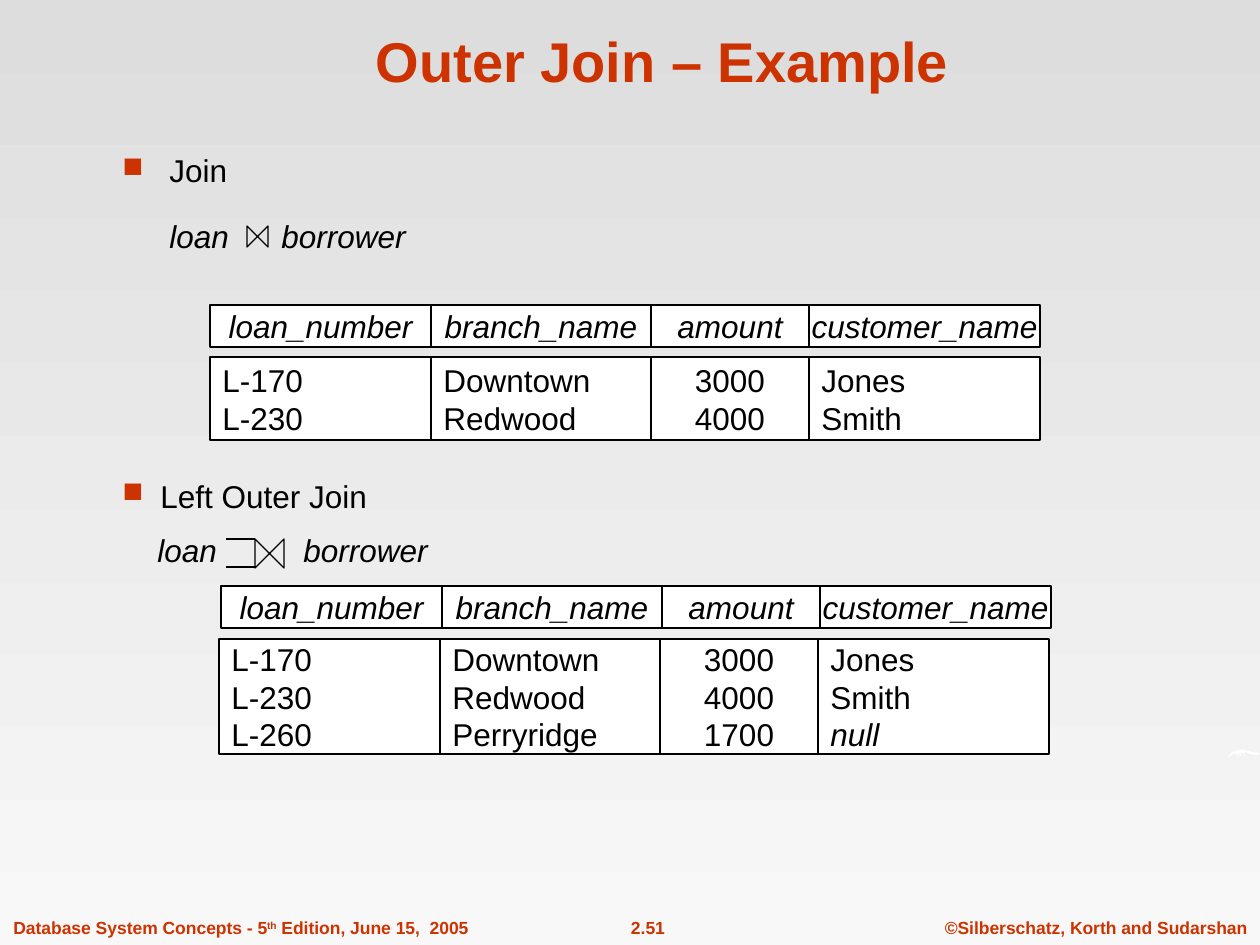
from itertools import accumulate

from lxml import etree
from pptx import Presentation
from pptx import util as u
from pptx.dml.color import RGBColor
from pptx.enum import shapes, text
from pptx.oxml.ns import qn

PX = 914400 // 126
RED = RGBColor(0xCC, 0x33, 0x00)
BLACK = RGBColor(0x00, 0x00, 0x00)
WHITE = RGBColor(0xFF, 0xFF, 0xFF)
BACK_TOP = RGBColor(0xDD, 0xDD, 0xDD)
BACK_BOTTOM = RGBColor(0xF8, 0xF8, 0xF8)
LEFT, CENTER = text.PP_ALIGN.LEFT, text.PP_ALIGN.CENTER
LINE_WIDTH = u.Pt(0.75)

prs = Presentation()
prs.slide_width, prs.slide_height = u.Inches(10), u.Inches(7.5)
slide = prs.slides.add_slide(prs.slide_layouts[6])
back = slide.background.fill
back.gradient()
back.gradient_angle = 270
for stop, color in zip(back.gradient_stops, (BACK_TOP, BACK_BOTTOM)):
    stop.color.rgb = color


def add_run(paragraph, words, size=18, color=BLACK, bold=False, italic=False):
    run = paragraph.add_run()
    run.text = words
    font = run.font
    font.name, font.size, font.color.rgb = "Arial", u.Pt(size), color
    font.bold, font.italic = bold, italic
    return run


def add_child(parent, tag, **attributes):
    """Append a DrawingML element to parent and return it."""
    return etree.SubElement(parent, qn(tag), attributes)


# Footer
for left, width, align, parts in (
    (932, 328, CENTER, ["©Silberschatz, Korth and Sudarshan"]),
    (586, 124, CENTER, ["2.51"]),
    (1, 480, LEFT, ["Database System Concepts - 5", "th", " Edition, June 15,  2005"]),
):
    footer = slide.shapes.add_textbox(left * PX, 911 * PX, width * PX, 34 * PX).text_frame
    footer.word_wrap = False
    paragraph = footer.paragraphs[0]
    paragraph.alignment = align
    for part in parts:
        run = add_run(paragraph, part, 10, RED, bold=True)
        if part == "th":
            run.font._element.set("baseline", "30000")

# White wisp at the right edge
wisp_points = [(1228, 757), (1232, 752), (1238, 750), (1244, 750), (1252, 752),
               (1260, 753), (1258, 755), (1250, 754), (1244, 752), (1245, 756),
               (1241, 752), (1241, 756), (1237, 752), (1238, 756), (1235, 753)]
builder = slide.shapes.build_freeform(*wisp_points[0], scale=PX)
builder.add_line_segments(wisp_points[1:], close=True)
wisp = builder.convert_to_shape()
wisp.shadow.inherit = False
wisp.fill.solid()
wisp.fill.fore_color.rgb = WHITE
wisp.line.fill.background()

# Title
title = slide.shapes.add_textbox(106 * PX, 16 * PX, 1113 * PX, 84 * PX).text_frame
title.word_wrap = True
title.vertical_anchor = text.MSO_ANCHOR.BOTTOM
title.paragraphs[0].alignment = CENTER
add_run(title.paragraphs[0], "Outer Join – Example", 32, RED, bold=True)

# Each join: bulleted name, then its expression with room for the join symbol
for name, top, width, height, hanging, loan_x, borrower_x, spacing, gap in (
    ("Join", 149, 964, 116, 47, 47, 159, 0.9, 18.5),
    ("Left Outer Join", 471, 583, 102, 38, 35, 181, 1, 9),
):
    frame = slide.shapes.add_textbox(110 * PX, top * PX, width * PX, height * PX).text_frame
    frame.word_wrap = True
    heading, expression = frame.paragraphs[0], frame.add_paragraph()

    bullet = heading._p.get_or_add_pPr()
    bullet.set("marL", str(hanging * PX))
    bullet.set("indent", str(-hanging * PX))
    add_child(add_child(bullet, "a:buClr"), "a:srgbClr", val=str(RED))
    add_child(bullet, "a:buSzPct", val="90000")
    add_child(bullet, "a:buChar", char="■")
    add_run(heading, name)

    tabs = add_child(expression._p.get_or_add_pPr(), "a:tabLst")
    for stop_x in (loan_x, borrower_x):
        add_child(tabs, "a:tab", pos=str(stop_x * PX), algn="l")
    add_run(expression, "\tloan\tborrower", italic=True)
    heading.line_spacing = expression.line_spacing = spacing
    expression.space_before = u.Pt(gap)

# Result relations: a header row and, below a gap, one box per column
widths = [221, 220, 158, 231]
offsets = [0, *accumulate(widths)]
aligns = [LEFT, LEFT, CENTER, LEFT]
header = [["loan_number"], ["branch_name"], ["amount"], ["customer_name"]]
inner_join = [["L-170", "L-230"], ["Downtown", "Redwood"],
              ["3000", "4000"], ["Jones", "Smith"]]
left_join = [["L-170", "L-230", "L-260"], ["Downtown", "Redwood", "Perryridge"],
             ["3000", "4000", "1700"], ["Jones", "Smith", "null"]]
for columns, left, top, height in (
    (header, 210, 305, 42), (inner_join, 210, 357, 83),
    (header, 221, 586, 42), (left_join, 219, 639, 115),
):
    for values, offset, width, align in zip(columns, offsets, widths, aligns):
        cell = slide.shapes.add_shape(shapes.MSO_SHAPE.RECTANGLE, (left + offset) * PX,
                                      top * PX, width * PX, height * PX)
        cell.shadow.inherit = False
        cell.fill.solid()
        cell.fill.fore_color.rgb = WHITE
        cell.line.color.rgb, cell.line.width = BLACK, LINE_WIDTH
        frame = cell.text_frame
        frame.word_wrap = False
        frame.vertical_anchor = text.MSO_ANCHOR.MIDDLE
        for i, value in enumerate(values):
            paragraph = frame.add_paragraph() if i else frame.paragraphs[0]
            paragraph.alignment = CENTER if columns is header else align
            add_run(paragraph, value, italic=columns is header or value == "null")

# Join symbols
for left, top, side in ((247, 226, 21), (255, 539, 29)):
    bowtie = slide.shapes.add_shape(shapes.MSO_SHAPE.FLOWCHART_COLLATE,
                                    left * PX, top * PX, side * PX, side * PX)
    bowtie.rotation = 270
    bowtie.shadow.inherit = False
    bowtie.fill.background()
    bowtie.line.color.rgb, bowtie.line.width = BLACK, LINE_WIDTH

# Bars that mark the left outer join
for y in (539, 567):
    bar = slide.shapes.add_connector(shapes.MSO_CONNECTOR.STRAIGHT,
                                     255 * PX, y * PX, 226 * PX, y * PX)
    bar.line.color.rgb, bar.line.width = BLACK, LINE_WIDTH
    add_child(bar._element.spPr, "a:effectLst")

prs.save("out.pptx")
